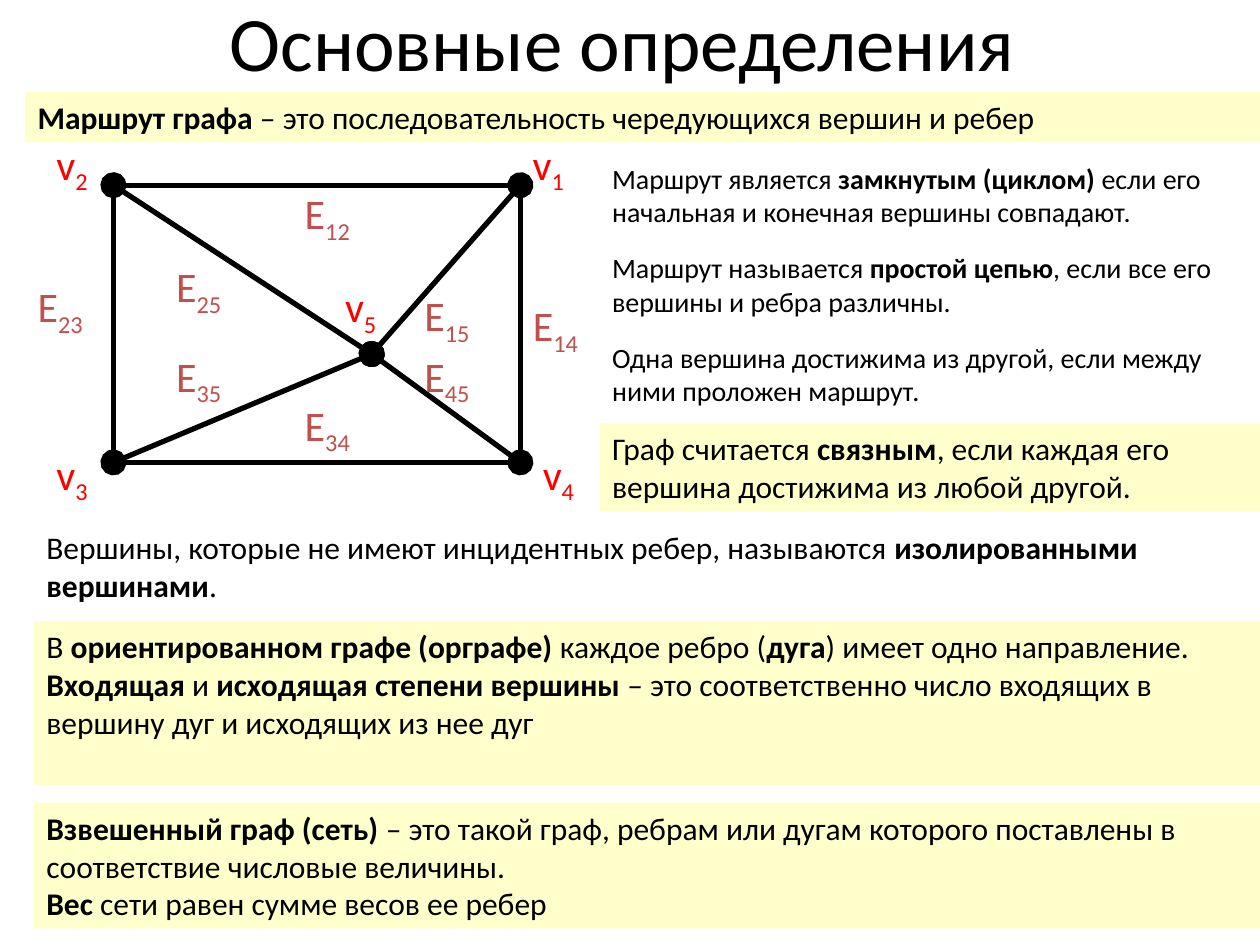
from dataclasses import dataclass

from lxml.etree import SubElement
from pptx import Presentation
from pptx.dml.color import RGBColor
from pptx.enum.shapes import MSO_CONNECTOR as Connector, MSO_SHAPE as Shape
from pptx.enum.text import MSO_ANCHOR as Anchor, MSO_AUTO_SIZE as AutoSize, PP_ALIGN as Align
from pptx.oxml.ns import qn
from pptx.slide import Slide
from pptx.text.text import Font
from pptx.util import Inches, Pt

COLUMNS, ROWS = 100, 75
SLIDE_WIDTH, SLIDE_HEIGHT = Inches(10), Inches(7.5)
FONT_NAME = "Calibri"
COLORS = {
    "ink": "000000",
    "vertex": "FF0000",
    "edge": "C0504D",
    "highlight": "FFFFCC",
    "plain": "FFFFFF",
}
LABEL_WIDTHS = {"vertex": 6.3, "edge": 7.9}
LABEL_HEIGHT = 5
BOLD_MARK = "*"


@dataclass(frozen=True)
class Edge:
    start: str
    end: str
    dotted: bool = False


@dataclass(frozen=True)
class Label:
    letter: str
    index: str
    kind: str
    column: float
    row: float


@dataclass(frozen=True)
class Definition:
    paragraphs: tuple[str, ...]
    column: float
    row: float
    height: float
    fill: str = "plain"
    size: int = 18


VERTICES = {
    "v1": (41.3, 14.7),
    "v2": (9, 14.7),
    "v3": (9, 36.7),
    "v4": (41.3, 36.7),
    "v5": (29.5, 28.1),
}
EDGES = [
    Edge("v3", "v2"),
    Edge("v4", "v1"),
    Edge("v4", "v5", True),
    Edge("v5", "v1", True),
    Edge("v2", "v1"),
    Edge("v4", "v3"),
    Edge("v5", "v3", True),
    Edge("v5", "v2", True),
]
LABELS = [
    Label("v", "4", "vertex", 42.1, 35.1),
    Label("v", "1", "vertex", 41.3, 10.5),
    Label("v", "2", "vertex", 3.5, 10.5),
    Label("v", "3", "vertex", 3.5, 35.1),
    Label("v", "5", "vertex", 26.4, 21.8),
    Label("E", "12", "edge", 23.2, 14.4),
    Label("E", "14", "edge", 41.3, 23.3),
    Label("E", "15", "edge", 32.7, 22.5),
    Label("E", "25", "edge", 13, 20.2),
    Label("E", "23", "edge", 2, 21.8),
    Label("E", "35", "edge", 13, 27.3),
    Label("E", "45", "edge", 32.7, 27.3),
    Label("E", "34", "edge", 23.2, 31.2),
]
SIDE_COLUMN, SIDE_ROW, SIDE_STEP = 47.6, 12.3, 7.1
SIDE_TEXTS = [
    "Маршрут является *замкнутым (циклом)* если его начальная и конечная вершины совпадают.",
    "Маршрут называется *простой цепью*, если все его вершины и ребра различны.",
    "Одна вершина достижима из другой, если между ними проложен маршрут.",
]
DEFINITIONS = [
    Definition(("*Маршрут графа* – это последовательность чередующихся вершин и ребер",),
               2, 7.3, 4, "highlight"),
    *(Definition((text,), SIDE_COLUMN, SIDE_ROW + i * SIDE_STEP, 6.4, size=16)
      for i, text in enumerate(SIDE_TEXTS)),
    Definition(("Граф считается *связным*, если каждая его вершина достижима из любой другой.",),
               SIDE_COLUMN, SIDE_ROW + len(SIDE_TEXTS) * SIDE_STEP, 7, "highlight"),
    Definition(("Вершины, которые не имеют инцидентных ребер, называются "
                "*изолированными вершинами*.",), 2.7, 41.4, 7),
    Definition(("В *ориентированном графе (орграфе)* каждое ребро (*дуга*) имеет одно направление.",
                "*Входящая* и *исходящая степени вершины* – это соответственно число входящих "
                "в вершину дуг и исходящих из нее дуг"), 2.7, 49.3, 13, "highlight"),
    Definition(("*Взвешенный граф (сеть)* – это такой граф, ребрам или дугам которого "
                "поставлены в соответствие числовые величины.",
                "*Вес* сети равен сумме весов ее ребер"), 2.7, 63.7, 10, "highlight"),
]


def x(columns: float) -> int:
    return round(SLIDE_WIDTH * columns / COLUMNS)


def y(rows: float) -> int:
    return round(SLIDE_HEIGHT * rows / ROWS)


def rgb(name: str) -> RGBColor:
    return RGBColor.from_string(COLORS[name])


def style(font: Font, size: int, color: str, bold: bool = False) -> None:
    font.name, font.size, font.bold = FONT_NAME, Pt(size), bold
    font.color.rgb = rgb(color)


def draw_title(slide: Slide, text: str) -> None:
    title = slide.shapes.title
    title.left, title.top, title.width, title.height = x(5.1), y(0.5), x(90), y(5.5)
    frame = title.text_frame
    frame.text = text
    frame.auto_size = AutoSize.NONE
    frame.vertical_anchor = Anchor.MIDDLE
    frame.paragraphs[0].alignment = Align.CENTER
    style(frame.paragraphs[0].runs[0].font, 44, "ink")


def draw_edge(slide: Slide, edge: Edge) -> None:
    (x1, y1), (x2, y2) = VERTICES[edge.start], VERTICES[edge.end]
    line = slide.shapes.add_connector(Connector.STRAIGHT, x(x1), y(y1), x(x2), y(y2))
    line.line.color.rgb = rgb("ink")
    line.line.width = Pt(3)
    properties = line._element.spPr
    if edge.dotted:
        outline = properties.find(qn("a:ln"))
        for end in ("a:headEnd", "a:tailEnd"):
            SubElement(outline, qn(end), type="oval", w="lg", len="lg")
    SubElement(properties, qn("a:effectLst"))


def draw_label(slide: Slide, label: Label) -> None:
    box = slide.shapes.add_textbox(x(label.column), y(label.row),
                                   x(LABEL_WIDTHS[label.kind]), y(LABEL_HEIGHT))
    frame = box.text_frame
    frame.word_wrap = True
    frame.auto_size = AutoSize.SHAPE_TO_FIT_TEXT
    frame.text = label.letter
    subscript = frame.paragraphs[0].add_run()
    subscript.text = label.index
    for run in frame.paragraphs[0].runs:
        style(run.font, 24, label.kind)
    subscript._r.get_or_add_rPr().set("baseline", "-25000")


def draw_definition(slide: Slide, definition: Definition) -> None:
    panel = slide.shapes.add_shape(Shape.RECTANGLE, x(definition.column), y(definition.row),
                                   x(COLUMNS - definition.column), y(definition.height))
    panel.shadow.inherit = False
    panel.fill.solid()
    panel.fill.fore_color.rgb = rgb(definition.fill)
    panel.line.fill.background()
    frame = panel.text_frame
    frame.word_wrap = True
    frame.vertical_anchor = Anchor.TOP
    for i, text in enumerate(definition.paragraphs):
        paragraph = frame.add_paragraph() if i else frame.paragraphs[0]
        paragraph.alignment = Align.LEFT
        for position, part in enumerate(text.split(BOLD_MARK)):
            if part:
                run = paragraph.add_run()
                run.text = part
                style(run.font, definition.size, "ink", bold=position % 2 == 1)


def main() -> None:
    deck = Presentation()
    deck.slide_width, deck.slide_height = SLIDE_WIDTH, SLIDE_HEIGHT
    slide = deck.slides.add_slide(deck.slide_layouts[5])
    draw_title(slide, "Основные определения ")
    for edge in EDGES:
        draw_edge(slide, edge)
    for label in LABELS:
        draw_label(slide, label)
    for definition in DEFINITIONS:
        draw_definition(slide, definition)
    deck.save("out.pptx")


if __name__ == "__main__":
    main()
